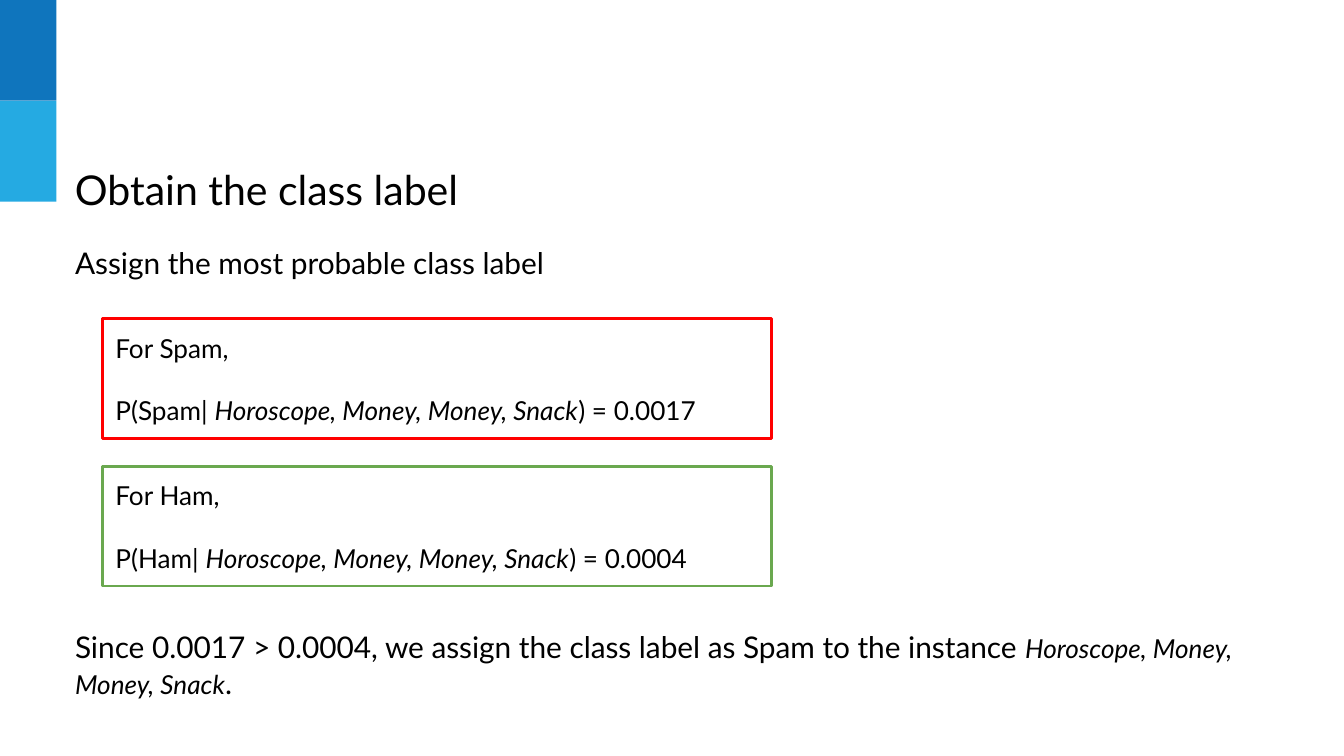
"""Build the slide that picks the most probable class label."""
from pptx import Presentation
from pptx.dml.color import RGBColor
from pptx.enum.shapes import MSO_SHAPE
from pptx.enum.text import MSO_ANCHOR, PP_ALIGN
from pptx.util import Inches, Pt

BLACK = RGBColor(0x00, 0x00, 0x00)
DARK_BLUE = RGBColor(0x0F, 0x75, 0xBD)
LIGHT_BLUE = RGBColor(0x25, 0xAA, 0xE2)
RED = RGBColor(0xFF, 0x00, 0x00)
GREEN = RGBColor(0x6A, 0xA8, 0x4F)
WORDS = "Horoscope, Money, Money, Snack"


def setup_frame(sp):
    tf = sp.text_frame
    margins = {f"margin_{side}": Inches(0.1) for side in ("left", "top", "right", "bottom")}
    for name, value in {**margins, "word_wrap": True, "vertical_anchor": MSO_ANCHOR.TOP}.items():
        setattr(tf, name, value)
    return tf


def write_runs(p, runs, **formats):
    for name, value in {"alignment": PP_ALIGN.LEFT, **formats}.items():
        setattr(p, name, value)
    for text, size, italic in runs:
        r = p.add_run()
        r.text = text
        for name, value in {"name": "Lato", "size": Pt(size), "italic": italic}.items():
            setattr(r.font, name, value)
        r.font.color.rgb = BLACK


prs = Presentation()
prs.slide_width = Inches(10)
prs.slide_height = Inches(10) * 9 // 16
s = prs.slides.add_slide(prs.slide_layouts[6])

for i, color in enumerate((DARK_BLUE, LIGHT_BLUE)):
    sp = s.shapes.add_shape(MSO_SHAPE.RECTANGLE, 0, Inches(0.75 * i), Inches(0.42), Inches(0.75))
    sp.shadow.inherit = False
    sp.fill.solid()
    sp.fill.fore_color.rgb = color
    sp.line.fill.background()

conclusion = [
    ("Since 0.0017 > 0.0004, we assign the class label as Spam to the instance ", 16, False),
    (WORDS, 14, True),
    (".", 16, False),
]
texts = [
    (1.07, 5.84, 0.43, [("Obtain the class label", 22, False)],
     {"line_spacing": 1.15, "space_after": Pt(16)}),
    (1.72, 9.18, 0.43, [("Assign the most probable class label", 16, False)], {}),
    (4.58, 9.18, 0.75, conclusion, {}),
]
for top, width, height, runs, formats in texts:
    sp = s.shapes.add_textbox(Inches(0.46), Inches(top), Inches(width), Inches(height))
    write_runs(setup_frame(sp).paragraphs[0], runs, **formats)

for i, (label, value, color) in enumerate((("Spam", "0.0017", RED), ("Ham", "0.0004", GREEN))):
    sp = s.shapes.add_shape(MSO_SHAPE.RECTANGLE, Inches(0.76), Inches(2.37 + 1.1 * i),
                            Inches(4.98), Inches(0.89))
    sp.shadow.inherit = False
    sp.fill.background()
    sp.line.color.rgb = color
    sp.line.width = Pt(1.5)
    tf = setup_frame(sp)
    write_runs(tf.paragraphs[0], [(f"For {label},", 14, False)])
    formula = [(f"P({label}| ", 14, False), (WORDS, 14, True), (f") = {value}", 14, False)]
    write_runs(tf.add_paragraph(), formula, space_before=Pt(16.8))

prs.save("out.pptx")
